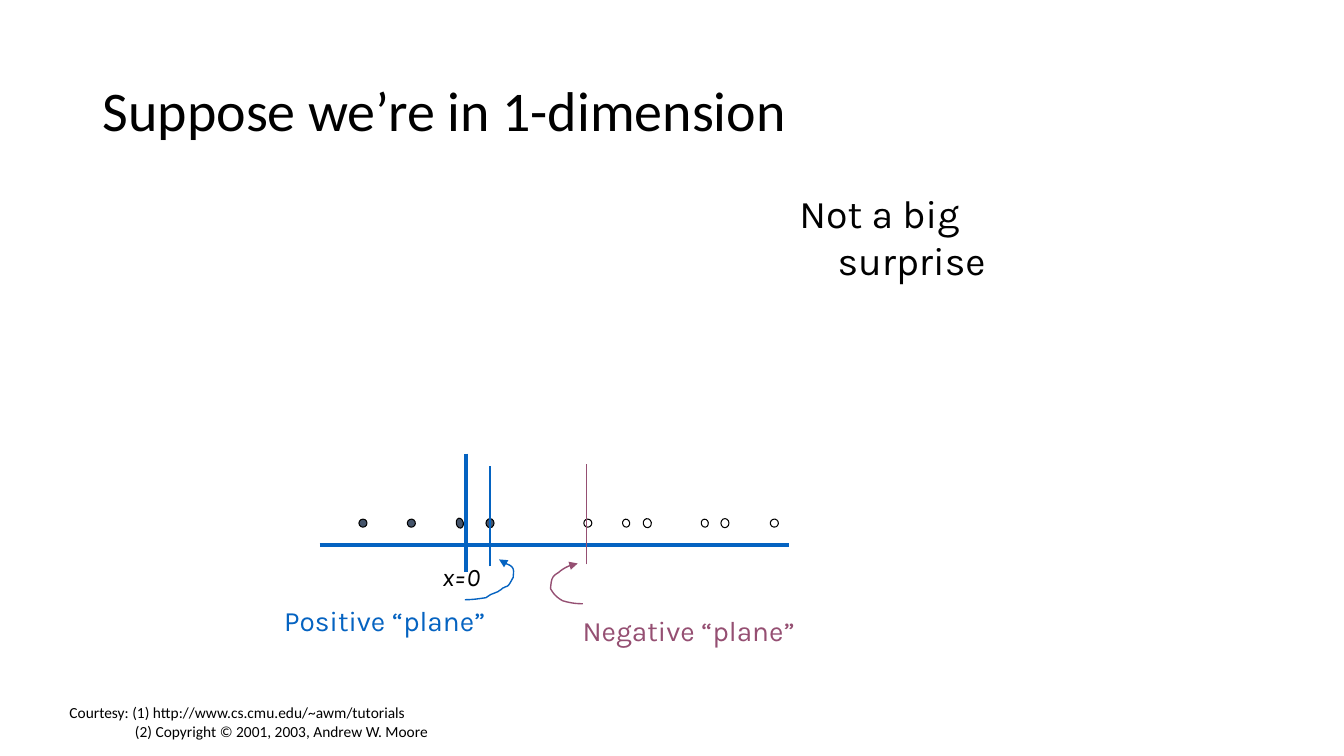
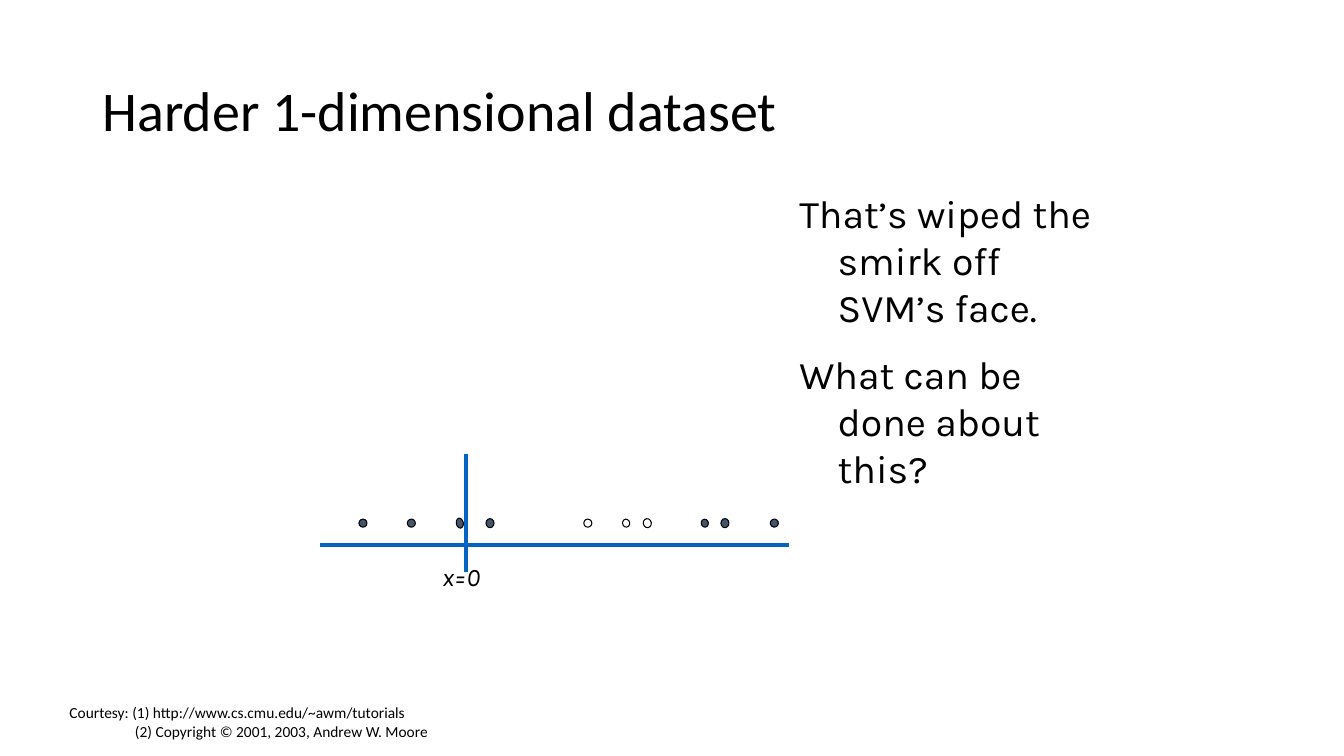
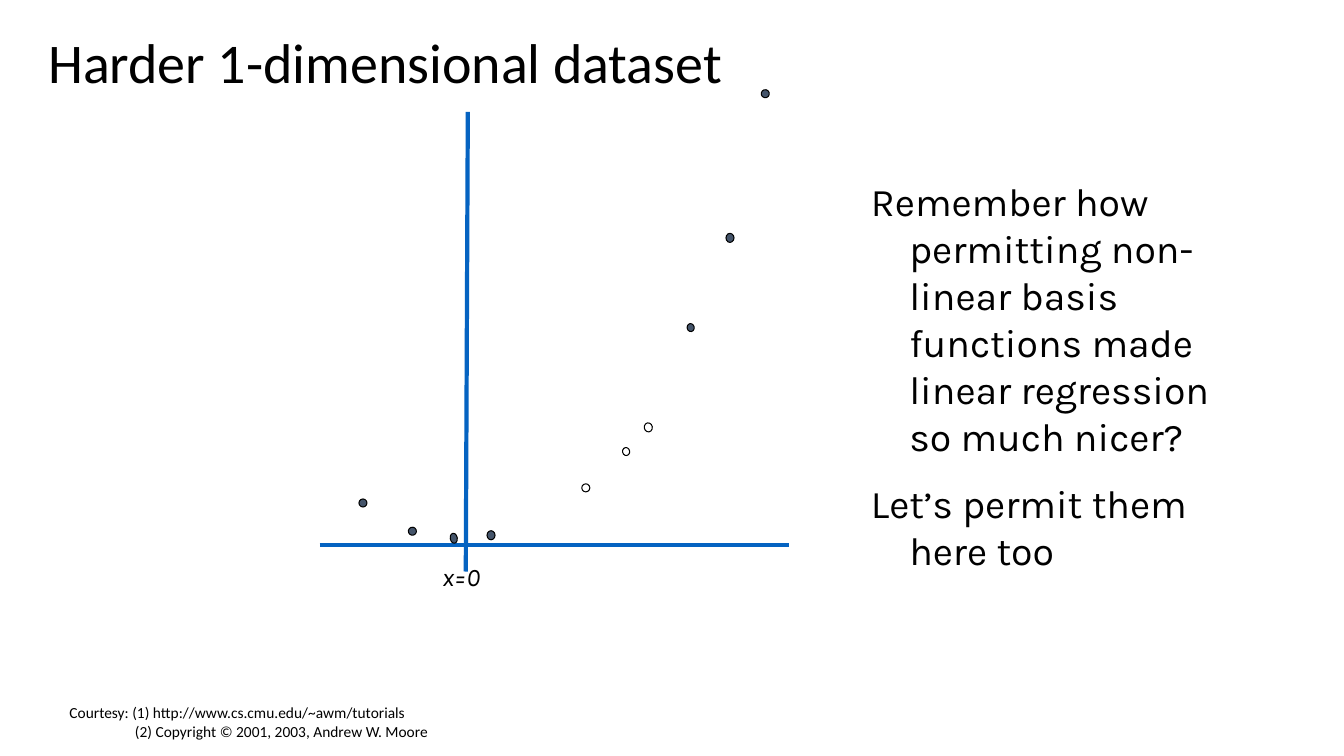
import pptx
import pptx.dml.color
import pptx.enum.shapes
import pptx.enum.text
import pptx.oxml.ns
import pptx.util
from lxml import etree

RGBColor = pptx.dml.color.RGBColor
Inches = pptx.util.Inches
Pt = pptx.util.Pt
ANCHOR = pptx.enum.text.MSO_ANCHOR

BLACK = RGBColor(0x00, 0x00, 0x00)
WHITE = RGBColor(0xFF, 0xFF, 0xFF)
BLUE = RGBColor(0x05, 0x63, 0xC1)
PLUM = RGBColor(0x95, 0x4F, 0x72)
SLATE = RGBColor(0x44, 0x54, 0x6A)

HEAD_FONT, BODY_FONT = "Calibri", "Karla"
HANG = 0.38

# Shared content: boxes are (left, top, width, height) in inches
CREDIT_BOX = (0.59, 6.93, 3.85, 0.47)
CREDIT = ["Courtesy: (1) http://www.cs.cmu.edu/~awm/tutorials",
          "(2) Copyright © 2001, 2003, Andrew W. Moore"]
CREDIT_INDENT = 0.65
ORIGIN_BOX = (4.29, 5.52, 0.99, 0.4)
X_AXIS = ((3.17, 5.41), (7.83, 5.41))
AXIS_FOOT = (4.62, 5.67)
WIDE_TITLE = (0.92, 0.4, 11.5, 1.45)

# Data points from left to right: (width, height, tilt)
DOT_FORMS = [(0.08, 0.08, 0), (0.08, 0.08, 98.3), (0.1, 0.07, 79.6),
             (0.08, 0.09, 0), (0.08, 0.08, 0), (0.08, 0.07, 79.6),
             (0.09, 0.08, 79.6), (0.08, 0.07, 79.6), (0.08, 0.09, 0),
             (0.08, 0.08, 341.4)]
FLAT_X = [3.6, 4.08, 4.56, 4.86, 5.83, 6.21, 6.42, 6.99, 7.19, 7.68]
FLAT = [(x, 5.19) for x in FLAT_X]
CURVED = [(3.6, 4.99), (4.09, 5.27), (4.5, 5.34), (4.87, 5.31), (5.81, 4.84),
          (6.21, 4.48), (6.43, 4.24), (6.85, 3.25), (7.24, 2.36), (7.59, 0.93)]

# Margin planes: label, its box, line, then the arrow as chained Bezier points
PLANES = [
    dict(label="Positive “plane”", box=(2.72, 5.94, 2.44, 0.43), color=BLUE,
         line=((4.86, 5.62), (4.86, 4.62)),
         arrow=[(4.61, 5.95), (4.69, 5.95), (4.75, 5.94), (4.82, 5.93),
                (4.88, 5.89), (4.84, 5.91), (4.94, 5.87),
                (4.95, 5.86), (4.97, 5.85), (4.97, 5.85),
                (4.98, 5.84), (4.99, 5.83), (5, 5.83),
                (5.01, 5.82), (5.03, 5.82), (5.04, 5.81),
                (5.06, 5.79), (5.07, 5.76), (5.09, 5.73),
                (5.09, 5.69), (5.11, 5.64), (5.06, 5.61),
                (5.04, 5.6), (4.99, 5.58), (4.99, 5.58),
                (4.96, 5.55), (4.98, 5.55), (4.95, 5.55)]),
    dict(label="Negative “plane”", box=(5.68, 6.04, 2.44, 0.43), color=PLUM,
         line=((5.82, 5.6), (5.82, 4.6)),
         arrow=[(5.78, 5.99), (5.7, 5.99), (5.65, 5.98), (5.58, 5.96),
                (5.51, 5.92), (5.49, 5.89), (5.46, 5.84),
                (5.47, 5.77), (5.46, 5.72), (5.54, 5.68),
                (5.57, 5.65), (5.64, 5.61), (5.69, 5.6),
                (5.7, 5.6), (5.73, 5.59), (5.73, 5.59)]),
]

SLIDES = [
    dict(title="Suppose we’re in 1-dimension", title_box=WIDE_TITLE,
         remark=["Not a big surprise"], remark_box=(7.83, 1.83, 3.25, 0.57),
         axis_top=(4.62, 4.5), dots=FLAT, hollow=range(4, 10), planes=PLANES),
    dict(title="Harder 1-dimensional dataset", title_box=WIDE_TITLE,
         remark=["That’s wiped the smirk off SVM’s face.",
                 "What can be done about this?"],
         remark_box=(7.83, 1.83, 3.25, 3.14),
         axis_top=(4.62, 4.5), dots=FLAT, hollow=range(4, 7), planes=[]),
    dict(title="Harder 1-dimensional dataset", title_box=(0.38, 0.11, 7.34, 1.08),
         remark=["Remember how permitting non-linear basis functions made "
                 "linear regression so much nicer?",
                 "Let’s permit them here too"],
         remark_box=(8.54, 1.71, 3.65, 4.07),
         axis_top=(4.64, 1.11), dots=CURVED, hollow=range(4, 7), planes=[]),
]


def add_text(slide, paragraphs, box, size, font=BODY_FONT, color=BLACK, italic=False,
             anchor=ANCHOR.TOP, hang=0, indents=(), gap=0, spacing=None):
    frame = slide.shapes.add_textbox(*map(Inches, box)).text_frame
    frame.word_wrap = True
    frame.vertical_anchor = anchor
    for i, words in enumerate(paragraphs):
        para = frame.paragraphs[0] if i == 0 else frame.add_paragraph()
        left = indents[i] if indents else hang
        if left:
            props = para._p.get_or_add_pPr()
            props.set("marL", str(Inches(left)))
            props.set("indent", str(-Inches(hang)))
        if i and gap:
            para.space_before = Pt(gap)
        if spacing:
            para.line_spacing = spacing
        run = para.add_run()
        run.text = words
        run.font.size, run.font.name = Pt(size), font
        run.font.italic = italic
        run.font.color.rgb = color


def add_line(slide, ends, color, width):
    (x1, y1), (x2, y2) = ends
    line = slide.shapes.add_connector(pptx.enum.shapes.MSO_CONNECTOR.STRAIGHT,
                                      Inches(x1), Inches(y1), Inches(x2), Inches(y2))
    line.line.color.rgb, line.line.width = color, Pt(width)
    etree.SubElement(line._element.spPr, pptx.oxml.ns.qn("a:effectLst"))


def add_dot(slide, center, form, fill):
    (x, y), (width, height, tilt) = center, form
    dot = slide.shapes.add_shape(pptx.enum.shapes.MSO_SHAPE.OVAL,
                                 Inches(x - width / 2), Inches(y - height / 2),
                                 Inches(width), Inches(height))
    dot.rotation = tilt
    dot.shadow.inherit = False
    dot.fill.solid()
    dot.fill.fore_color.rgb = fill
    dot.line.color.rgb, dot.line.width = BLACK, Pt(0.75)


def bezier_points(chain, steps=6):
    points = [chain[0]]
    for i in range(0, len(chain) - 1, 3):
        for t in (k / steps for k in range(1, steps + 1)):
            weights = ((1 - t) ** 3, 3 * t * (1 - t) ** 2, 3 * t * t * (1 - t), t ** 3)
            points.append(tuple(sum(w * p[axis] for w, p in zip(weights, chain[i:i + 4]))
                                for axis in (0, 1)))
    return points


def add_curved_arrow(slide, chain, color):
    points = [(Inches(x), Inches(y)) for x, y in bezier_points(chain)]
    builder = slide.shapes.build_freeform(*points[0])
    builder.add_line_segments(points[1:], close=False)
    arrow = builder.convert_to_shape()
    arrow.shadow.inherit = False
    arrow.fill.background()
    arrow.line.color.rgb, arrow.line.width = color, Pt(1)
    etree.SubElement(arrow.line._get_or_add_ln(), pptx.oxml.ns.qn("a:tailEnd"),
                     type="triangle")


def build_slide(deck, content):
    slide = deck.slides.add_slide(deck.slide_layouts[6])
    add_text(slide, [content["title"]], content["title_box"], 40, font=HEAD_FONT,
             anchor=ANCHOR.MIDDLE, spacing=0.9)

    # Axes and data points
    for ends in ((content["axis_top"], AXIS_FOOT), X_AXIS):
        add_line(slide, ends, BLUE, 3)
    for i, (center, form) in enumerate(zip(content["dots"], DOT_FORMS)):
        add_dot(slide, center, form, WHITE if i in content["hollow"] else SLATE)

    # Remark and margin planes
    add_text(slide, content["remark"], content["remark_box"], 28, hang=HANG, gap=14)
    for plane in content["planes"]:
        add_line(slide, plane["line"], plane["color"], 1)
        add_text(slide, [plane["label"]], plane["box"], 20, color=plane["color"], hang=HANG)
        add_curved_arrow(slide, plane["arrow"], plane["color"])

    # Origin label and credit
    add_text(slide, ["x=0"], ORIGIN_BOX, 18, italic=True, hang=HANG)
    add_text(slide, CREDIT, CREDIT_BOX, 11, font=HEAD_FONT, indents=(0, CREDIT_INDENT))


def main():
    deck = pptx.Presentation()
    deck.slide_width, deck.slide_height = Inches(13.33), Inches(7.5)
    for content in SLIDES:
        build_slide(deck, content)
    deck.save("out.pptx")


if __name__ == "__main__":
    main()
